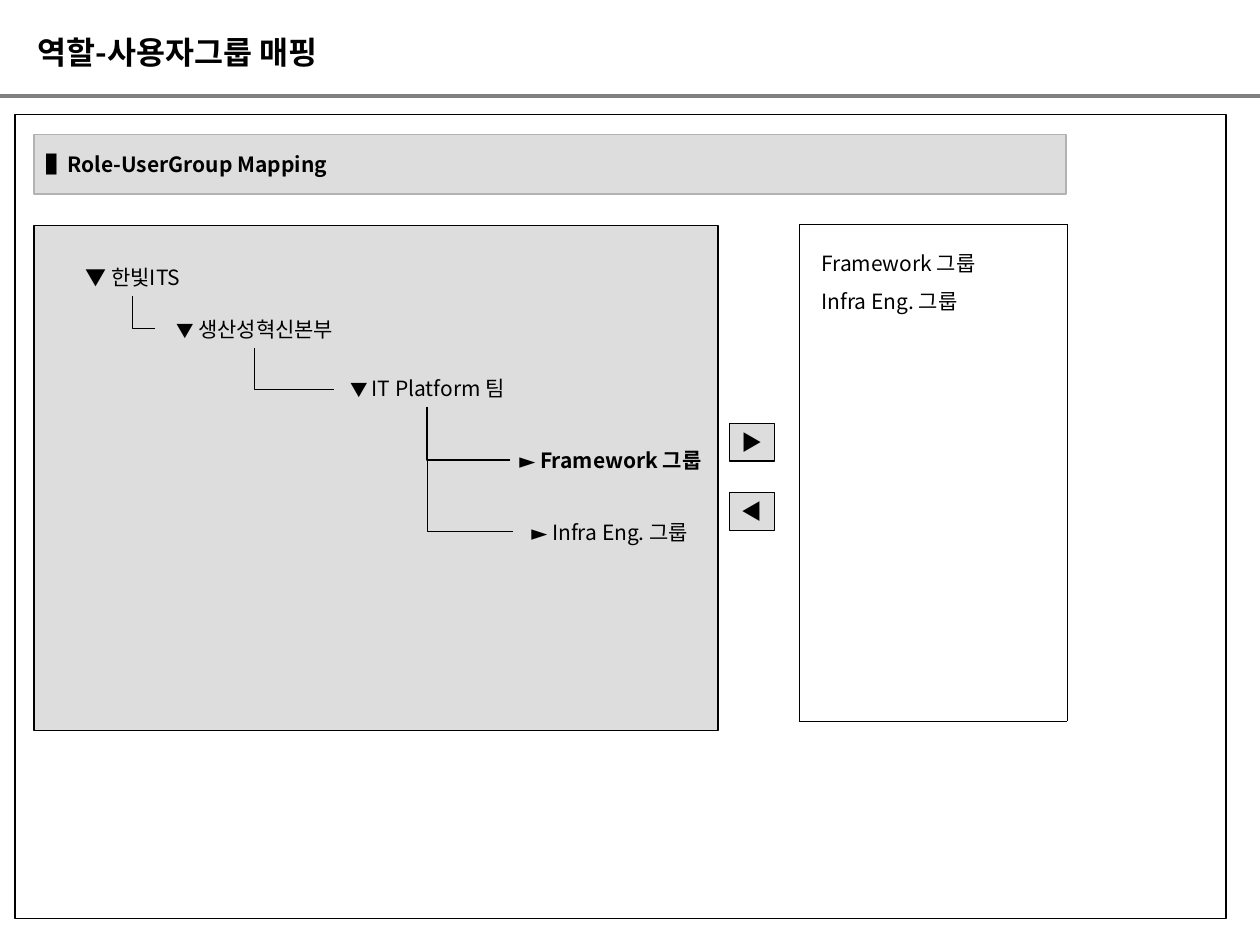
from dataclasses import dataclass

from lxml import etree
from pptx import Presentation
from pptx.dml.color import RGBColor
from pptx.enum.shapes import MSO_CONNECTOR, MSO_SHAPE
from pptx.enum.text import MSO_ANCHOR, MSO_AUTO_SIZE, PP_ALIGN
from pptx.oxml.ns import qn
from pptx.util import Inches, Pt


@dataclass(frozen=True)
class Theme:
    font: str = "Noto Sans CJK KR"
    black: RGBColor = RGBColor(0, 0, 0)
    rule: RGBColor = RGBColor(0x80, 0x80, 0x80)
    panel: RGBColor = RGBColor(0xDD, 0xDD, 0xDD)
    panel_edge: RGBColor = RGBColor(0xB2, 0xB2, 0xB2)
    title: int = 18
    body: int = 12
    marker: int = 10
    line: float = 0.75
    hairline: float = 0.11


class SlideBuilder:
    def __init__(self, slide, theme):
        self.s = slide
        self.t = theme

    def format_run(self, r, size, bold=False):
        r.font.size = Pt(size)
        r.font.bold = bold
        r.font.color.rgb = self.t.black
        r.font.name = self.t.font
        ea = etree.SubElement(r.font._element, qn("a:ea"))
        ea.set("typeface", self.t.font)

    def put_text(self, sp, text, size=None, bold=False, align=PP_ALIGN.LEFT,
                 anchor=MSO_ANCHOR.MIDDLE, before=7.5, wrap=False, grow=True):
        size = size or self.t.body
        tf = sp.text_frame
        tf.text = text
        tf.word_wrap = wrap
        tf.vertical_anchor = anchor
        tf.auto_size = MSO_AUTO_SIZE.SHAPE_TO_FIT_TEXT if grow else MSO_AUTO_SIZE.NONE
        for p in tf.paragraphs:
            p.alignment = align
            p.space_before = Pt(before)
            for r in p.runs:
                self.format_run(r, size, bold)
        return tf

    def box(self, x, y, w, h, fill=None, line=None):
        sp = self.s.shapes.add_shape(
            MSO_SHAPE.RECTANGLE, Inches(x), Inches(y), Inches(w), Inches(h))
        sp.shadow.inherit = False
        if fill is None:
            sp.fill.background()
        else:
            sp.fill.solid()
            sp.fill.fore_color.rgb = fill
        sp.line.color.rgb = line or self.t.black
        sp.line.width = Pt(self.t.line)
        return sp

    def label(self, x, y, w, h, text, **style):
        sp = self.s.shapes.add_textbox(Inches(x), Inches(y), Inches(w), Inches(h))
        return self.put_text(sp, text, **style)

    def node(self, x, y, w, marker, name, marker_size, bold=False):
        tf = self.label(x, y, w, 0.3, marker + " ", size=marker_size,
                        align=PP_ALIGN.CENTER)
        r = tf.paragraphs[0].add_run()
        r.text = name
        self.format_run(r, self.t.body, bold)

    def connector(self, kind, x1, y1, x2, y2, color, width):
        c = self.s.shapes.add_connector(
            kind, Inches(x1), Inches(y1), Inches(x2), Inches(y2))
        c.line.color.rgb = color
        c.line.width = Pt(width)
        etree.SubElement(c._element.spPr, qn("a:effectLst"))
        return c

    def branch(self, x1, y1, x2, y2):
        """Elbow that goes down from the parent, then right to the child."""
        cx, cy = (x1 + x2) / 2, (y1 + y2) / 2
        half_w, half_h = (y2 - y1) / 2, (x2 - x1) / 2  # quarter turn swaps sides
        c = self.connector(MSO_CONNECTOR.ELBOW, cx + half_w, cy - half_h,
                           cx - half_w, cy + half_h, self.t.black, self.t.line)
        sp_pr = c._element.spPr
        sp_pr.find(qn("a:xfrm")).set("rot", str(270 * 60000))
        sp_pr.find(qn("a:prstGeom")).set("prst", "bentConnector2")

    def frame_table(self, x, y, w, h):
        table = self.s.shapes.add_table(
            1, 1, Inches(x), Inches(y), Inches(w), Inches(h)).table
        table.first_row = table.horz_banding = False
        cell = table.cell(0, 0)
        tc_pr = cell._tc.get_or_add_tcPr()
        for side in ("lnL", "lnR", "lnT", "lnB"):
            ln = etree.SubElement(tc_pr, qn(f"a:{side}"), w=str(Pt(self.t.hairline)))
            fill = etree.SubElement(ln, qn("a:solidFill"))
            etree.SubElement(fill, qn("a:srgbClr"), val=str(self.t.black))
        cell.fill.background()


def main():
    prs = Presentation()
    prs.slide_width, prs.slide_height = Inches(10), Inches(7.5)
    t = Theme()
    b = SlideBuilder(prs.slides.add_slide(prs.slide_layouts[6]), t)

    # Page frame and title
    b.box(0.12, 0.91, 9.61, 6.38)
    b.label(0.2, 0.21, 5.91, 0.4, "역할-사용자그룹 매핑", size=t.title, bold=True,
            anchor=MSO_ANCHOR.TOP, before=11.2, wrap=True)
    b.connector(MSO_CONNECTOR.STRAIGHT, 0, 0.76, 10, 0.76, t.rule, 2.25)

    # Mapped group frame, section heading and tree panel
    b.frame_table(6.34, 1.78, 2.13, 3.94)
    heading = b.box(0.27, 1.07, 8.19, 0.47, t.panel, t.panel_edge)
    b.put_text(heading, "▌Role-UserGroup Mapping", bold=True, grow=False)
    b.box(0.27, 1.79, 5.43, 4.01, t.panel)

    # Organisation tree
    for node in (
        (0.52, 2.05, 1.07, "▼", "한빛ITS", t.body),
        (1.28, 2.46, 1.49, "▼", "생산성혁신본부", t.marker),
        (2.63, 2.93, 1.53, "▼", "IT Platform 팀", t.marker),
        (3.99, 3.5, 1.71, "►", "Framework 그룹", t.body, True),
        (4.08, 4.07, 1.52, "►", "Infra Eng. 그룹", t.body),
    ):
        b.node(*node)
    for ends in (
        (1.05, 2.35, 1.23, 2.61),
        (2.02, 2.76, 2.65, 3.09),
        (3.39, 3.23, 4.05, 3.65),
        (3.39, 3.23, 4.07, 4.22),
    ):
        b.branch(*ends)

    # Add and remove buttons
    for y, arrow in ((3.36, "▶"), (3.91, "◀")):
        b.put_text(b.box(5.79, y, 0.36, 0.3, t.panel), arrow, align=PP_ALIGN.CENTER)

    # Mapped groups
    b.label(6.42, 1.94, 1.89, 0.61, "Framework 그룹\nInfra Eng. 그룹",
            anchor=MSO_ANCHOR.TOP, wrap=True)

    prs.save("out.pptx")


if __name__ == "__main__":
    main()
